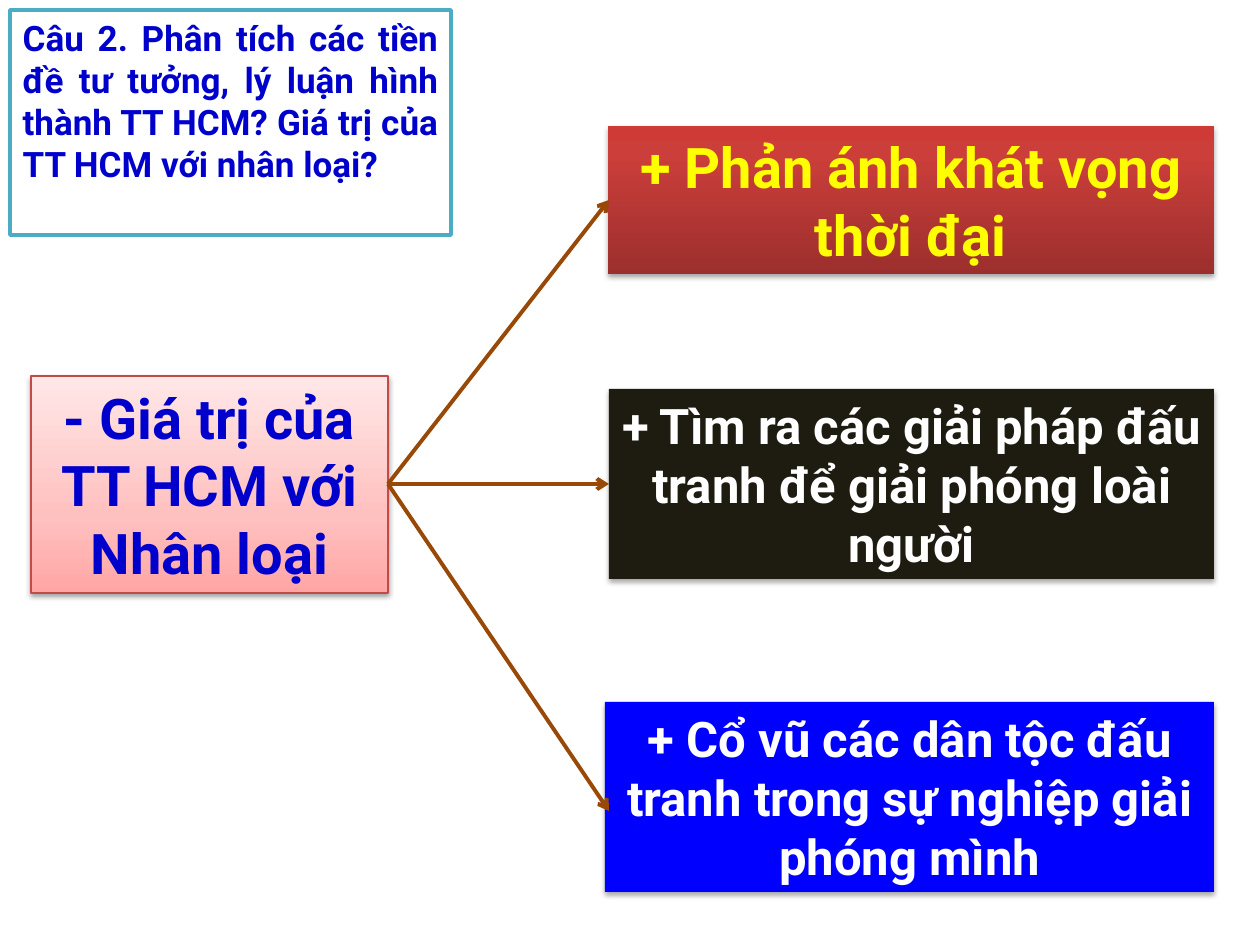
import pptx
import pptx.util
import pptx.dml.color
import pptx.enum.shapes
import pptx.enum.text
import pptx.oxml
import pptx.oxml.ns

SCALE = 914400 / 126
FONT = "Roboto"
ALIGN = pptx.enum.text.PP_ALIGN
ANCHOR = pptx.enum.text.MSO_ANCHOR
COLORS = {
    "navy": "0000CC",
    "yellow": "FFFF00",
    "white": "FFFFFF",
    "black": "1E1C11",
    "blue": "0000FF",
    "brown": "984807",
    "teal": "4BACC6",
    "red": "BF4C48",
}
PINK_STOPS = [(0, "FFA6A5"), (35, "FFC0BF"), (100, "FFE7E7")]
RED_STOPS = [(0, "9C2F2D"), (80, "CB3E3A"), (100, "CE3B37")]


def px(n):
    return pptx.util.Emu(round(n * SCALE))


def rgb(name):
    return pptx.dml.color.RGBColor.from_string(COLORS[name])


def add_xml(parent, xml):
    tag, rest = xml.split(" ", 1)
    parent.append(pptx.oxml.parse_xml(f"{tag} {pptx.oxml.ns.nsdecls('a')} {rest}"))


def set_text(s, text, size=28, color="white", align=ALIGN.CENTER, anchor=ANCHOR.MIDDLE):
    tf = s.text_frame
    tf.word_wrap = True
    tf.auto_size = pptx.enum.text.MSO_AUTO_SIZE.NONE
    tf.vertical_anchor = anchor
    p = tf.paragraphs[0]
    p.alignment = align
    r = p.add_run()
    r.text = text
    r.font.name = FONT
    r.font.size = pptx.util.Pt(size)
    r.font.bold = True
    r.font.color.rgb = rgb(color)


def set_fill(s, fill):
    if isinstance(fill, str):
        s.fill.solid()
        s.fill.fore_color.rgb = rgb(fill)
        return
    s.fill.gradient()
    s.fill.gradient_angle = 90
    stops = s._element.spPr.find(".//" + pptx.oxml.ns.qn("a:gsLst"))
    for stop in list(stops):
        stops.remove(stop)
    for pos, color in fill:
        add_xml(stops, f'<a:gs pos="{pos * 1000}"><a:srgbClr val="{color}"/></a:gs>')


def set_line(s, color, width):
    s.line.color.rgb = rgb(color)
    s.line.width = pptx.util.Pt(width)


def set_shadow(s, dist, alpha):
    s.shadow.inherit = False
    effects = s._element.spPr.find(pptx.oxml.ns.qn("a:effectLst"))
    add_xml(effects, f'<a:outerShdw blurRad="40000" dist="{dist}" dir="5400000" rotWithShape="0">'
                     f'<a:srgbClr val="000000"><a:alpha val="{alpha * 1000}"/></a:srgbClr></a:outerShdw>')


def add_box(slide, bounds, text, fill, line=None, dist=23000, alpha=35, **text_format):
    s = slide.shapes.add_shape(pptx.enum.shapes.MSO_SHAPE.RECTANGLE, *map(px, bounds))
    set_fill(s, fill)
    if line:
        set_line(s, line, 0.75)
    else:
        s.line.fill.background()
    set_shadow(s, dist, alpha)
    set_text(s, text, **text_format)


def add_arrow(slide, start, end):
    s = slide.shapes.add_connector(pptx.enum.shapes.MSO_CONNECTOR.STRAIGHT, *map(px, start + end))
    set_line(s, "brown", 2.25)
    add_xml(s.line._get_or_add_ln(), '<a:tailEnd type="arrow"/>')
    add_xml(s._element.spPr, "<a:effectLst />")


def add_question(slide, bounds, text):
    s = slide.shapes.title
    s.left, s.top, s.width, s.height = map(px, bounds)
    set_fill(s, "white")
    set_line(s, "teal", 2)
    set_text(s, text, size=20, color="navy", align=ALIGN.JUSTIFY, anchor=ANCHOR.TOP)


def main():
    prs = pptx.Presentation()
    prs.slide_width, prs.slide_height = px(1260), px(945)
    slide = prs.slides.add_slide(prs.slide_layouts[5])
    add_question(slide, (10, 10, 441, 225),
                 "Câu 2. Phân tích các tiền đề tư tưởng, lý luận hình thành TT HCM? "
                 "Giá trị của TT HCM với nhân loại?")
    add_box(slide, (31, 376, 357, 217), "- Giá trị của TT HCM với Nhân loại", PINK_STOPS,
            line="red", dist=20000, alpha=38, size=32, color="navy")
    add_box(slide, (608, 126, 606, 148), "+ Phản ánh khát vọng thời đại", RED_STOPS,
            size=32, color="yellow")
    add_box(slide, (609, 389, 605, 190),
            "+ Tìm ra các giải pháp đấu tranh để giải phóng loài người", "black")
    add_box(slide, (605, 702, 609, 190),
            "+ Cổ vũ các dân tộc đấu tranh trong sự nghiệp giải phóng mình", "blue")
    for y in (200, 484, 811):
        add_arrow(slide, (388, 484), (609, y))
    prs.save("out.pptx")


if __name__ == "__main__":
    main()
